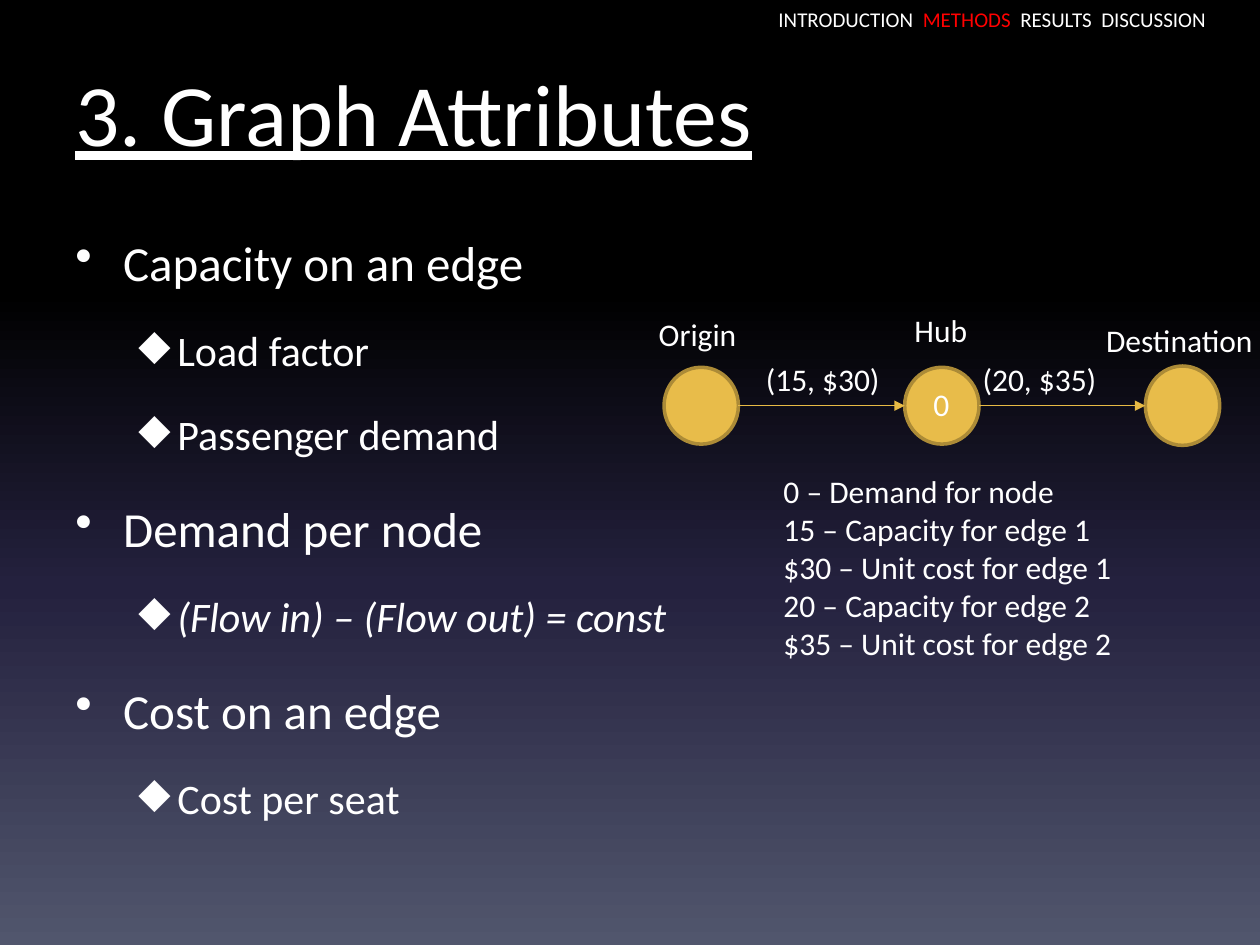
from copy import deepcopy

from pptx import Presentation
from pptx.dml.color import RGBColor
from pptx.enum.shapes import MSO_CONNECTOR, MSO_SHAPE
from pptx.enum.text import MSO_ANCHOR
from pptx.oxml.ns import qn
from pptx.util import Inches, Pt

WHITE = RGBColor(0xFF, 0xFF, 0xFF)
RED = RGBColor(0xFF, 0x00, 0x00)
GOLD = RGBColor(0xE8, 0xBC, 0x4A)
DARK_GOLD = RGBColor(0xAC, 0x8B, 0x37)
EDGE_GOLD = RGBColor(0xE7, 0xBA, 0x45)
BLACK = RGBColor(0x00, 0x00, 0x00)
NAVY = RGBColor(0x24, 0x21, 0x3E)
SLATE = RGBColor(0x51, 0x56, 0x6D)

BACKGROUND_STOPS = [(0, BLACK), (0.31, BLACK), (0.62, NAVY), (1, SLATE)]
FONT = "Calibri"
BULLET_STYLES = [("•", 28, 0.38, 0.38), ("◆", 24, 0.81, 0.31)]
OUTLINE = [
    (0, "Capacity on an edge"),
    (1, "Load factor"),
    (1, "Passenger demand"),
    (0, "Demand per node"),
    (1, "(Flow in) – (Flow out) = const"),
    (0, "Cost on an edge"),
    (1, "Cost per seat"),
]
LEGEND = [
    "0 – Demand for node",
    "15 – Capacity for edge 1",
    "$30 – Unit cost for edge 1",
    "20 – Capacity for edge 2",
    "$35 – Unit cost for edge 2",
]
NODE_WIDTH = 0.59
NODE_LEFTS = [5.27, 7.18, 9.09]
NODE_HEIGHTS = [0.61, 0.61, 0.63]
AXIS = 3.22
LABELS = [
    ("Origin", 5.13, 2.45, 1),
    ("Hub", 7.16, 2.42, 0.73),
    ("Destination", 8.68, 2.5, 1.47),
    ("0", 7.31, 3.01, 0.46),
    ("(15, $30)", 5.98, 2.81, 1.13),
    ("(20, $35)", 7.7, 2.81, 1.13),
]


def paint_background(page):
    """Fill the page with the vertical gradient."""
    fill = page.background.fill
    fill.gradient()
    fill.gradient_angle = 270
    stop_list = page.element.find(".//" + qn("a:gsLst"))
    while len(stop_list) < len(BACKGROUND_STOPS):
        stop_list.append(deepcopy(stop_list[0]))
    for stop, (position, color) in zip(fill.gradient_stops, BACKGROUND_STOPS):
        stop.position = position
        stop.color.rgb = color


def add_span(para, text, size, color=WHITE):
    """Add one formatted run to a paragraph."""
    span = para.add_run()
    span.text = text
    span.font.name = FONT
    span.font.size = Pt(size)
    span.font.color.rgb = color
    return span


def add_box(page, left, top, width, height, wrap=True):
    """Add an empty text box and return its text frame."""
    box = page.shapes.add_textbox(Inches(left), Inches(top), Inches(width), Inches(height))
    box.text_frame.word_wrap = wrap
    return box.text_frame


def add_lines(page, lines, left, top, width, height):
    """Add a box of plain 18-point lines."""
    frame = add_box(page, left, top, width, height)
    for index, line in enumerate(lines):
        para = frame.add_paragraph() if index else frame.paragraphs[0]
        add_span(para, line, 18)


def add_title(page):
    """Add the underlined slide title."""
    frame = add_box(page, 0.5, 0.39, 9, 1.25)
    frame.margin_top = Inches(0.08)
    add_span(frame.paragraphs[0], "3. Graph Attributes", 50).font.underline = True


def add_section_bar(page):
    """Add the section names with the current one in red."""
    para = add_box(page, 6.08, 0, 3.92, 0.3, wrap=False).paragraphs[0]
    add_span(para, "INTRODUCTION  ", 12)
    add_span(para, "METHODS", 12, RED)
    add_span(para, "  RESULTS  DISCUSSION", 12)


def set_bullet(para, mark, indent, hanging):
    """Give a paragraph a bullet mark with a hanging indent."""
    properties = para._p.get_or_add_pPr()
    properties.set("marL", str(Inches(indent)))
    properties.set("indent", str(-Inches(hanging)))
    bullet = properties.makeelement(qn("a:buChar"), {"char": mark})
    properties.append(bullet)


def add_outline(page):
    """Add the two-level bulleted list."""
    frame = add_box(page, 0.5, 1.43, 9.5, 5.28)
    frame.vertical_anchor = MSO_ANCHOR.MIDDLE
    for index, (level, text) in enumerate(OUTLINE):
        mark, size, indent, hanging = BULLET_STYLES[level]
        para = frame.add_paragraph() if index else frame.paragraphs[0]
        para.level = level
        para.line_spacing = 1.5
        para.space_before = Pt(size * 0.2)
        set_bullet(para, mark, indent, hanging)
        span = add_span(para, text, size)
        span.font.italic = text.startswith("(Flow")


def add_node(page, left, height):
    """Add a graph node centred on the axis."""
    node = page.shapes.add_shape(
        MSO_SHAPE.OVAL, Inches(left), Inches(AXIS - height / 2), Inches(NODE_WIDTH), Inches(height)
    )
    node.shadow.inherit = False
    node.fill.solid()
    node.fill.fore_color.rgb = GOLD
    node.line.color.rgb = DARK_GOLD
    node.line.width = Pt(2)


def add_edge(page, start, end):
    """Add an arrow along the axis."""
    edge = page.shapes.add_connector(
        MSO_CONNECTOR.STRAIGHT, Inches(start), Inches(AXIS), Inches(end), Inches(AXIS)
    )
    edge.line.color.rgb = EDGE_GOLD
    edge.line.width = Pt(0.75)
    outline = edge.line._get_or_add_ln()
    outline.append(outline.makeelement(qn("a:tailEnd"), {"type": "triangle"}))
    properties = edge._element.spPr
    properties.append(properties.makeelement(qn("a:effectLst"), {}))


def add_graph(page):
    """Add the nodes, edges, labels and legend."""
    for left, height in zip(NODE_LEFTS, NODE_HEIGHTS):
        add_node(page, left, height)
    for left, following in zip(NODE_LEFTS, NODE_LEFTS[1:]):
        add_edge(page, left + NODE_WIDTH, following)
    for text, left, top, width in LABELS:
        add_lines(page, [text], left, top, width, 0.4)
    add_lines(page, LEGEND, 6.12, 3.7, 2.96, 1.62)


def main():
    """Build and save the deck."""
    deck = Presentation()
    deck.slide_width = Inches(10)
    deck.slide_height = Inches(7.5)
    page = deck.slides.add_slide(deck.slide_layouts[6])
    paint_background(page)
    add_title(page)
    add_outline(page)
    add_section_bar(page)
    add_graph(page)
    deck.save("out.pptx")


if __name__ == "__main__":
    main()
